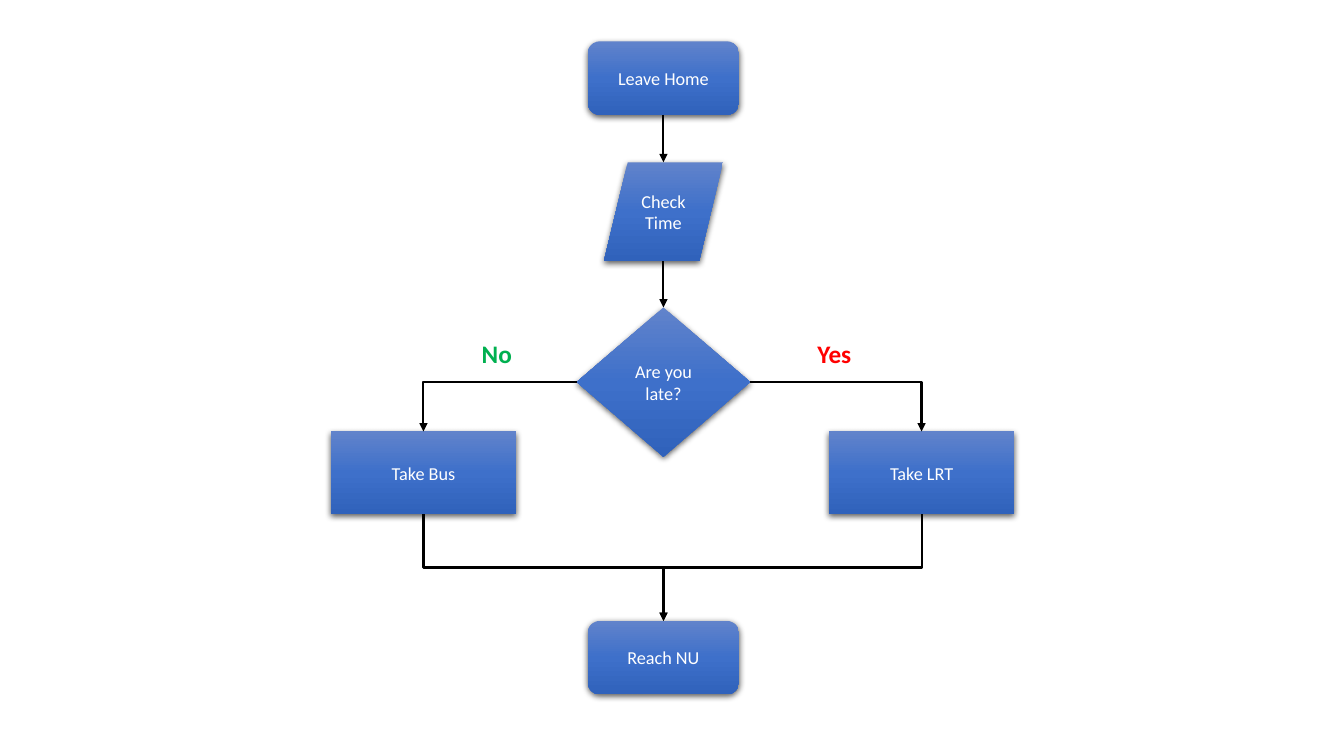
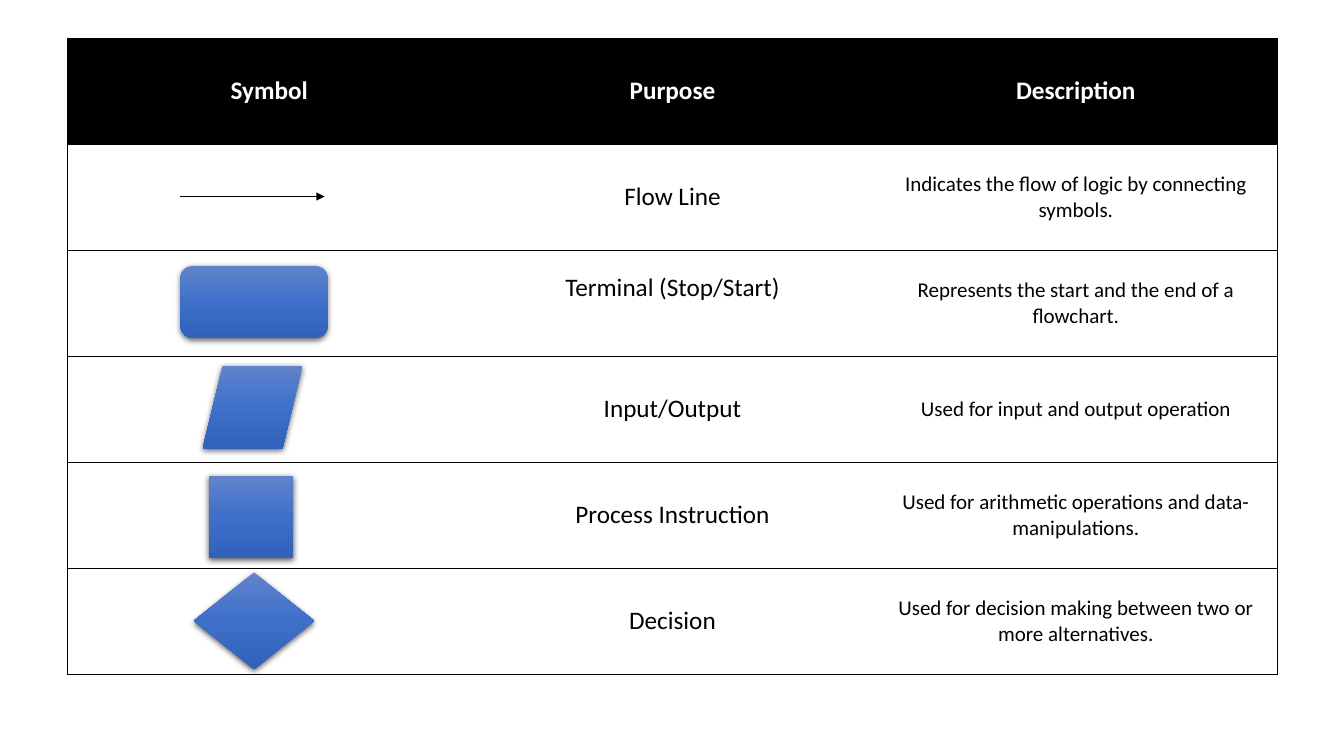
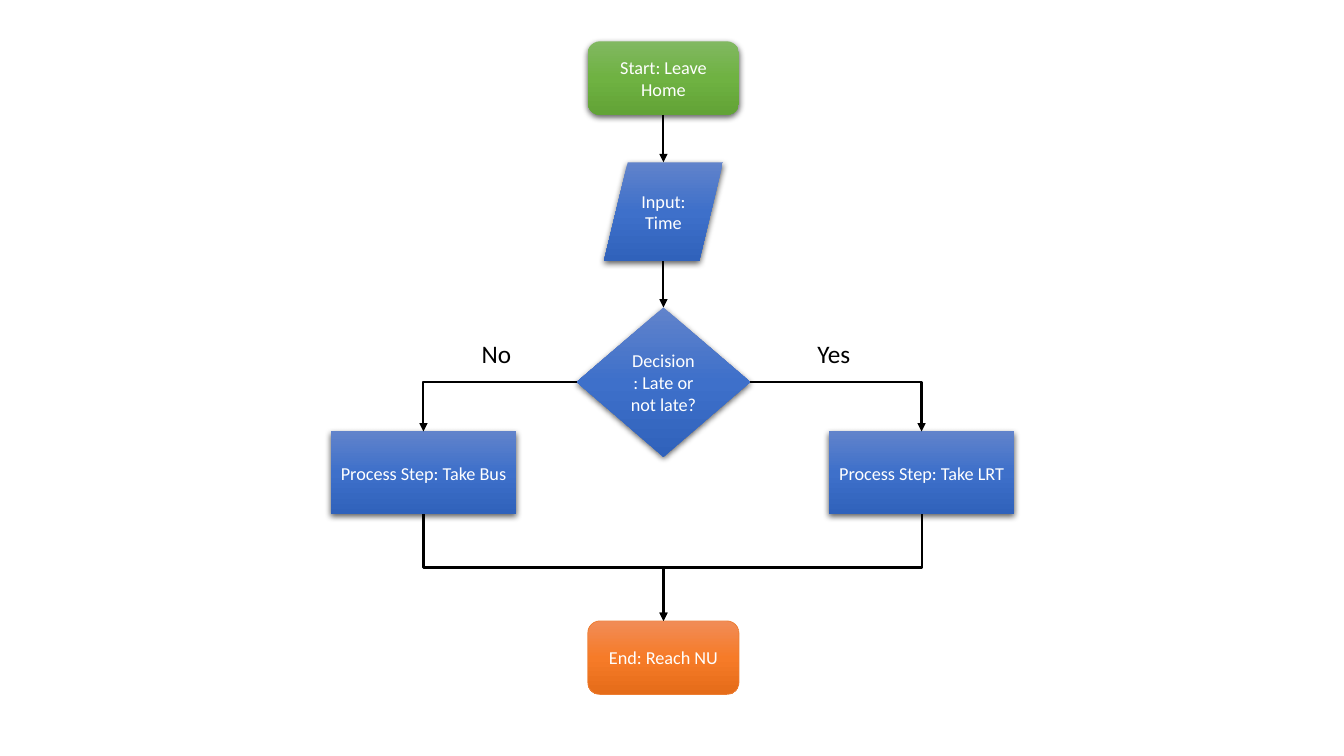
from copy import deepcopy

from lxml import etree
from pptx import Presentation
from pptx.dml.color import RGBColor
from pptx.enum.shapes import MSO_CONNECTOR, MSO_SHAPE
from pptx.enum.text import MSO_ANCHOR, PP_ALIGN
from pptx.oxml.ns import qn
from pptx.util import Pt

PX = 9144
PAGE_WIDTH, PAGE_HEIGHT = 1333, 750
FONT = "Calibri"
BLACK = RGBColor(0x00, 0x00, 0x00)
WHITE = RGBColor(0xFF, 0xFF, 0xFF)
RED = RGBColor(0xFF, 0x00, 0x00)
GREEN = RGBColor(0x00, 0xB0, 0x50)
ORANGE = RGBColor(0xED, 0x7D, 0x31)
BLUE_SHADES = (RGBColor(0x61, 0x83, 0xCB), RGBColor(0x3E, 0x70, 0xCA), RGBColor(0x30, 0x62, 0xBB))
GREEN_SHADES = (RGBColor(0x81, 0xB8, 0x61), RGBColor(0x6F, 0xB2, 0x42), RGBColor(0x62, 0xA3, 0x36))
ORANGE_SHADES = (RGBColor(0xF1, 0x8C, 0x57), RGBColor(0xF6, 0x7B, 0x28), RGBColor(0xE5, 0x6C, 0x19))

TERMINAL = MSO_SHAPE.ROUNDED_RECTANGLE
INPUT = MSO_SHAPE.FLOWCHART_DATA
DECISION = MSO_SHAPE.DIAMOND
PROCESS = MSO_SHAPE.RECTANGLE
STRAIGHT = MSO_CONNECTOR.STRAIGHT
ELBOW = MSO_CONNECTOR.ELBOW
CENTER = PP_ALIGN.CENTER
LEFT = PP_ALIGN.LEFT
MIDDLE = MSO_ANCHOR.MIDDLE
TOP_SITE, LEFT_SITE, BOTTOM_SITE, RIGHT_SITE = range(4)

NO_GRID_STYLE = "{2D5ABB26-0587-4C30-8999-92F81FD0307C}"
SYMBOL_TEXT = {"size": Pt(13), "bold": False}
LABEL_TEXT = {"size": Pt(18), "bold": False}
STRONG_TEXT = {"size": Pt(18), "bold": True}
DETAIL_TEXT = {"size": Pt(15), "bold": False}

FLOW_PARTS = {
    "start": (TERMINAL, (255, 0, 150, 73)),
    "input": (INPUT, (271, 120, 118, 98)),
    "decision": (DECISION, (244, 264, 172, 148)),
    "no_step": (PROCESS, (0, 387, 184, 82)),
    "yes_step": (PROCESS, (494, 387, 184, 82)),
    "end": (TERMINAL, (255, 575, 150, 73)),
}
ANSWER_BOXES = {"Yes": (473, 290, 57, 40), "No": (140, 290, 57, 40)}

HEADINGS = ("Symbol", "Purpose", "Description")
LEGEND_ROWS = (
    ("Flow Line", "Indicates the flow of logic by connecting symbols."),
    ("Terminal (Stop/Start)", "Represents the start and the end of a flowchart."),
    ("Input/Output", "Used for input and output operation"),
    ("Process Instruction", "Used for arithmetic operations and data-manipulations."),
    ("Decision", "Used for decision making between two or more alternatives."),
)
LEGEND_SYMBOLS = (
    (TERMINAL, (112, 226, 146, 71)),
    (INPUT, (134, 325, 99, 82)),
    (PROCESS, (140, 434, 84, 82)),
    (DECISION, (125, 530, 120, 96)),
)


def apply(target, values):
    for name, value in values.items():
        setattr(target, name, value)


def to_emu(*lengths):
    return [length * PX for length in lengths]


def shift(box, origin):
    return (box[0] + origin[0], box[1] + origin[1], box[2], box[3])


def add_node(parent, tag, **attributes):
    return etree.SubElement(parent, qn(tag), attributes)


def write(frame, text, values, color, align=CENTER):
    para = frame.paragraphs[0]
    para.alignment = align
    span = para.add_run()
    span.text = text
    apply(span.font, {"name": FONT, **values})
    span.font.color.rgb = color


def paint(shape, shades):
    shape.fill.gradient()
    shape.fill.gradient_angle = 270
    stop_list = shape._element.spPr.find(".//" + qn("a:gsLst"))
    stop_list.append(deepcopy(stop_list[0]))
    for stop, position, shade in zip(shape.fill.gradient_stops, (0, 0.5, 1), shades):
        stop.position = position
        stop.color.rgb = shade


def cast_shadow(shape):
    effects = shape._element.spPr.find(qn("a:effectLst"))
    shadow = add_node(effects, "a:outerShdw", blurRad="57150", dist="19050",
                      dir="5400000", algn="ctr", rotWithShape="0")
    color = add_node(shadow, "a:srgbClr", val=str(BLACK))
    add_node(color, "a:alpha", val="63000")


def add_symbol(page, kind, box, text="", shades=BLUE_SHADES, outline=None):
    shape = page.shapes.add_shape(kind, *to_emu(*box))
    paint(shape, shades)
    shape.shadow.inherit = False
    if outline:
        shape.line.color.rgb = outline
        shape.line.width = Pt(0.5)
    else:
        shape.line.fill.background()
        cast_shadow(shape)
    if text:
        apply(shape.text_frame, {"word_wrap": True, "vertical_anchor": MIDDLE})
        write(shape.text_frame, text, SYMBOL_TEXT, WHITE)
    return shape


def add_arrow(page, kind, begin, end, weight=1.5):
    arrow = page.shapes.add_connector(kind, *begin, *end)
    arrow.line.color.rgb = BLACK
    arrow.line.width = Pt(weight)
    properties = arrow._element.spPr
    add_node(properties.find(qn("a:ln")), "a:tailEnd", type="triangle")
    add_node(properties, "a:effectLst")
    return arrow


def add_drop(page, upper, lower):
    middle = upper.left + upper.width // 2
    add_arrow(page, STRAIGHT, (middle, upper.top + upper.height), (middle, lower.top))


def add_elbow(page, source, source_site, target):
    arrow = add_arrow(page, ELBOW, (0, 0), (0, 0))
    arrow.begin_connect(source, source_site)
    arrow.end_connect(target, TOP_SITE)
    return arrow


def add_branch(page, decision, site, step):
    arrow = add_elbow(page, decision, site, step)
    arrow._element.spPr.find(qn("a:prstGeom")).set("prst", "bentConnector2")


def add_merge(page, step, end):
    arrow = add_elbow(page, step, BOTTOM_SITE, end)
    across = arrow.end_x - arrow.begin_x
    down = arrow.end_y - arrow.begin_y
    center_x = (arrow.begin_x + arrow.end_x) // 2
    center_y = (arrow.begin_y + arrow.end_y) // 2
    frame = arrow._element.spPr.find(qn("a:xfrm"))
    frame.attrib.clear()
    frame.set("rot", "16200000" if across > 0 else "5400000")
    if across > 0:
        frame.set("flipH", "1")
    apply(arrow, {
        "left": center_x - down // 2,
        "top": center_y - abs(across) // 2,
        "width": down,
        "height": abs(across),
    })


def add_answer(page, text, box, values, color):
    answer = page.shapes.add_textbox(*to_emu(*box))
    answer.text_frame.word_wrap = True
    write(answer.text_frame, text, values, color, LEFT)


def add_flowchart(page, origin, texts, looks, answer_text, answer_colors):
    parts = {
        name: add_symbol(page, kind, shift(box, origin), texts[name], **looks.get(name, {}))
        for name, (kind, box) in FLOW_PARTS.items()
    }
    add_drop(page, parts["start"], parts["input"])
    add_drop(page, parts["input"], parts["decision"])
    for site, name in ((LEFT_SITE, "no_step"), (RIGHT_SITE, "yes_step")):
        add_branch(page, parts["decision"], site, parts[name])
        add_merge(page, parts[name], parts["end"])
    for text, box in ANSWER_BOXES.items():
        add_answer(page, text, shift(box, origin), answer_text, answer_colors[text])


def add_borders(cell, sides):
    properties = cell._tc.get_or_add_tcPr()
    for side in sides:
        line = add_node(properties, "a:ln" + side, w=str(Pt(0.5)))
        add_node(add_node(line, "a:solidFill"), "a:srgbClr", val=str(BLACK))


def fill_cell(cell, text, values, color, sides, fill=None):
    add_borders(cell, sides)
    if fill is None:
        cell.fill.background()
    else:
        cell.fill.solid()
        cell.fill.fore_color.rgb = fill
    cell.vertical_anchor = MIDDLE
    if text:
        write(cell.text_frame, text, values, color)


def add_legend(page, box):
    row_count = len(LEGEND_ROWS) + 1
    table = page.shapes.add_table(row_count, len(HEADINGS), *to_emu(*box)).table
    apply(table, {"first_row": False, "horz_banding": False})
    table._tbl.tblPr.find(qn("a:tableStyleId")).text = NO_GRID_STYLE
    column_sides = ("LTB", "TB", "RTB")
    column_text = (LABEL_TEXT, LABEL_TEXT, DETAIL_TEXT)
    for column, heading in enumerate(HEADINGS):
        fill_cell(table.cell(0, column), heading, STRONG_TEXT, WHITE, column_sides[column], BLACK)
    for row, texts in enumerate(LEGEND_ROWS, 1):
        for column, text in enumerate(("",) + texts):
            fill_cell(table.cell(row, column), text, column_text[column], BLACK, column_sides[column])
    table.cell(2, 1).margin_bottom = 35 * PX
    for kind, symbol_box in LEGEND_SYMBOLS:
        add_symbol(page, kind, shift(symbol_box, box))
    line_y = box[1] + 157
    add_arrow(page, STRAIGHT, to_emu(box[0] + 112, line_y), to_emu(box[0] + 255, line_y), 1)


def main():
    deck = Presentation()
    apply(deck, {"slide_width": PAGE_WIDTH * PX, "slide_height": PAGE_HEIGHT * PX})
    blank = deck.slide_layouts[6]
    example, legend, labelled = [deck.slides.add_slide(blank) for _ in range(3)]
    flow_origin = (328, 41)
    add_flowchart(example, flow_origin, {
        "start": "Leave Home",
        "input": "Check Time",
        "decision": "Are you late?",
        "no_step": "Take Bus",
        "yes_step": "Take LRT",
        "end": "Reach NU",
    }, {}, STRONG_TEXT, {"Yes": RED, "No": GREEN})
    add_legend(legend, (67, 38, 1200, 631))
    add_flowchart(labelled, flow_origin, {
        "start": "Start: Leave Home",
        "input": "Input: Time",
        "decision": "Decision: Late or not late?",
        "no_step": "Process Step: Take Bus",
        "yes_step": "Process Step: Take LRT",
        "end": "End: Reach NU",
    }, {
        "start": {"shades": GREEN_SHADES},
        "end": {"shades": ORANGE_SHADES, "outline": ORANGE},
    }, LABEL_TEXT, {"Yes": BLACK, "No": BLACK})
    deck.save("out.pptx")


if __name__ == "__main__":
    main()
